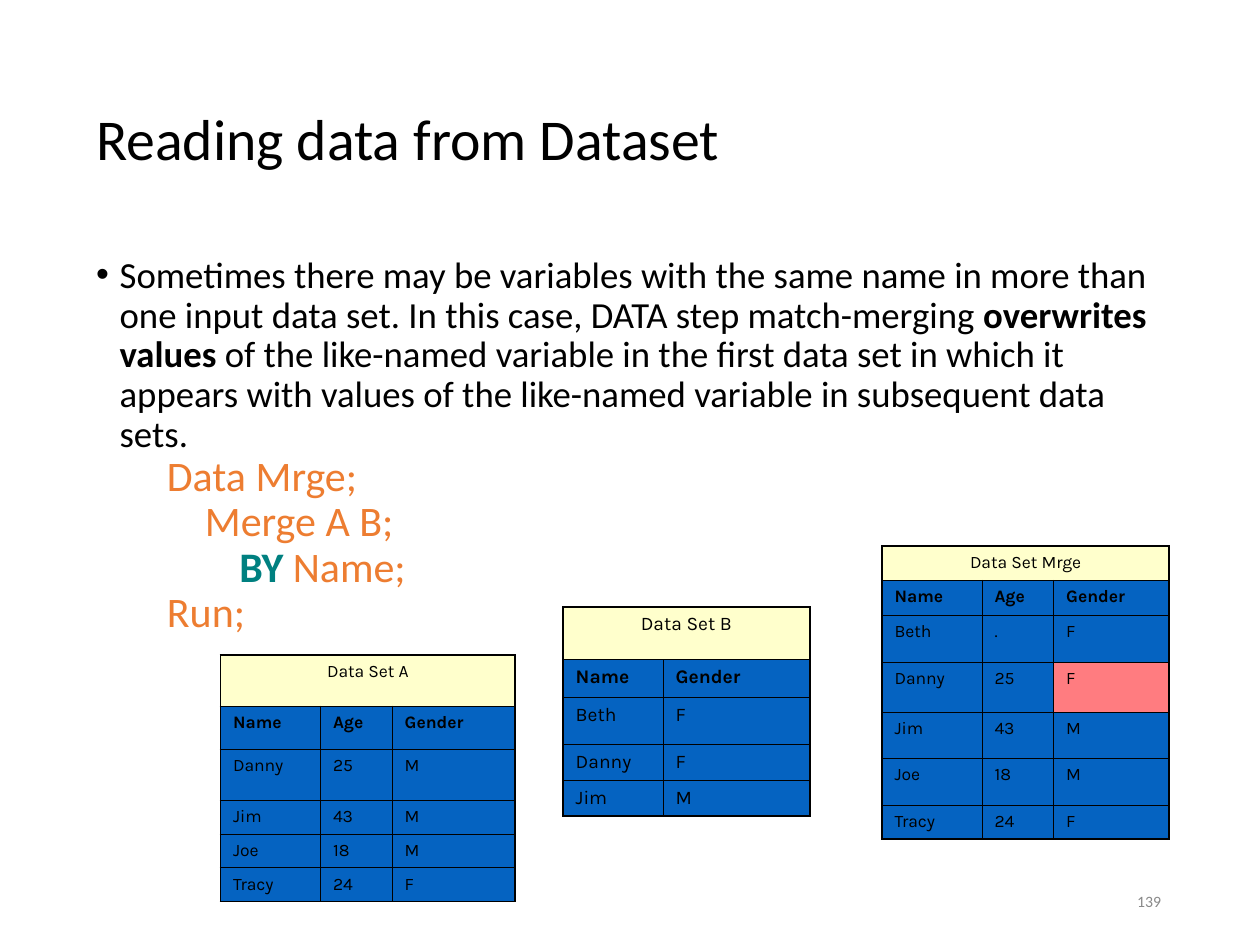
from lxml.etree import SubElement
from pptx import Presentation
from pptx.dml.color import RGBColor
from pptx.enum.text import MSO_ANCHOR as Anchor, MSO_AUTO_SIZE as AutoSize, PP_ALIGN as Align
from pptx.oxml.ns import qn
from pptx.util import Pt

BLACK = RGBColor(0, 0, 0)
ORANGE = RGBColor(0xED, 0x7D, 0x31)
TEAL = RGBColor(0, 0x80, 0x80)
GRAY = RGBColor(0x89, 0x89, 0x89)
CREAM = RGBColor(0xFF, 0xFF, 0xCC)
BLUE = RGBColor(0x05, 0x63, 0xC1)
PINK = RGBColor(0xFF, 0x7C, 0x80)

TITLE = "Reading data from Dataset"
PAGE = "139"
EXPLANATION = [
    ("Sometimes there may be variables with the same name in more than one input data set. "
     "In this case, DATA step match-merging ", BLACK, False),
    ("overwrites values", BLACK, True),
    (" of the like-named variable in the first data set in which it appears with values of "
     "the like-named variable in subsequent data sets.", BLACK, False),
]
CODE = [
    [("\tData Mrge;", ORANGE, False)],
    [("\t    Merge A B;", ORANGE, False)],
    [("\t\t BY ", TEAL, True), ("Name;", ORANGE, False)],
    [("\tRun;", ORANGE, False)],
]
DATA_SETS = [
    dict(title="Data Set A", at=(126, 374.4), size=10, before=2.5,
         columns=(57.1, 41, 70.3), heights=(29, 25, 29, 19.2, 19.2, 19.2),
         rows=[("Name", "Age", "Gender"), ("Danny", "25", "M"), ("Jim", "43", "M"),
               ("Joe", "18", "M"), ("Tracy", "24", "F")], overwritten=None),
    dict(title="Data Set B", at=(321.8, 346.8), size=11, before=2.8,
         columns=(57.1, 83.8), heights=(30, 21.8, 26.8, 20.5, 20.5),
         rows=[("Name", "Gender"), ("Beth", "F"), ("Danny", "F"), ("Jim", "M")],
         overwritten=None),
    dict(title="Data Set Mrge", at=(504, 312), size=10, before=2.5,
         columns=(57.1, 41, 66), heights=(19.6, 20, 26.8, 28.6, 26.5, 26.8, 19.4),
         rows=[("Name", "Age", "Gender"), ("Beth", ".", "F"), ("Danny", "25", "F"),
               ("Jim", "43", "M"), ("Joe", "18", "M"), ("Tracy", "24", "F")],
         overwritten=(3, 2)),
]
THICK, THIN = 1.08, 0.45
TAB_STEP = 54


def style(run, size, color, bold=False, name="Calibri"):
    font = run.font
    font.name, font.size, font.bold = name, Pt(size), bold
    font.color.rgb = color


def add_runs(paragraph, parts, size):
    for text, color, bold in parts:
        run = paragraph.add_run()
        run.text = text
        style(run, size, color, bold)


def set_insets(frame):
    frame.word_wrap = True
    frame.auto_size = AutoSize.NONE
    frame.margin_left = frame.margin_right = Pt(5.4)
    frame.margin_top = frame.margin_bottom = Pt(2.7)


def indent(paragraph, left, hanging):
    properties = paragraph._p.get_or_add_pPr()
    properties.set("marL", str(Pt(left)))
    properties.set("indent", str(-Pt(hanging)))
    return properties


def set_borders(cell, widths):
    properties = cell._tc.get_or_add_tcPr()
    for side, width in zip(("lnL", "lnR", "lnT", "lnB"), widths):
        line = SubElement(properties, qn("a:" + side), w=str(Pt(width)))
        fill = SubElement(line, qn("a:solidFill"))
        SubElement(fill, qn("a:srgbClr"), val=str(BLACK))


def add_data_set(slide, data):
    columns, heights = data["columns"], data["heights"]
    last_row, last_column = len(heights) - 1, len(columns) - 1
    left, top = data["at"]
    table = slide.shapes.add_table(
        len(heights), len(columns), Pt(left), Pt(top), Pt(sum(columns)), Pt(sum(heights))).table
    table.first_row = table.horz_banding = False
    for column, width in zip(table.columns, columns):
        column.width = Pt(width)
    for row, height in zip(table.rows, heights):
        row.height = Pt(height)
    table.cell(0, 0).merge(table.cell(0, last_column))

    heading = (data["title"],) + ("",) * last_column
    for r, values in enumerate([heading] + data["rows"]):
        for c, value in enumerate(values):
            cell = table.cell(r, c)
            set_borders(cell, (THICK if c == 0 else THIN,
                               THICK if c == last_column or r == 0 else THIN,
                               THICK if r == 0 else THIN,
                               THICK if r == last_row else THIN))
            cell.fill.solid()
            cell.fill.fore_color.rgb = (
                CREAM if r == 0 else PINK if (r, c) == data["overwritten"] else BLUE)
            if value:
                paragraph = cell.text_frame.paragraphs[0]
                paragraph.text = value
                paragraph.alignment = Align.CENTER if r == 0 else Align.LEFT
                paragraph.space_before = Pt(data["before"])
                style(paragraph.runs[0], data["size"], BLACK, r == 1, "Karla")


def main():
    deck = Presentation()
    deck.slide_width, deck.slide_height = Pt(720), Pt(540)
    slide = deck.slides.add_slide(deck.slide_layouts[5])

    title = slide.shapes.title
    title.left, title.top, title.width, title.height = Pt(49.5), Pt(28.8), Pt(621), Pt(104.4)
    set_insets(title.text_frame)
    title.text_frame.vertical_anchor = Anchor.MIDDLE
    title.text_frame.text = TITLE
    heading = title.text_frame.paragraphs[0]
    heading.alignment, heading.line_spacing = Align.LEFT, 0.9
    style(heading.runs[0], 33, BLACK)

    body = slide.shapes.add_textbox(Pt(49.5), Pt(144), Pt(621), Pt(342.7)).text_frame
    set_insets(body)
    explanation = body.paragraphs[0]
    explanation.line_spacing = 0.9
    bulleted = indent(explanation, 13.5, 13.5)
    SubElement(bulleted, qn("a:buFont"), typeface="Arial")
    SubElement(bulleted, qn("a:buChar"), char="•")
    add_runs(explanation, EXPLANATION, 21)
    for parts in CODE:
        statement = body.add_paragraph()
        statement.level, statement.line_spacing = 1, 0.9
        statement.space_before = Pt(0)
        properties = indent(statement, 40.5, 13.5)
        SubElement(properties, qn("a:buNone"))
        tabs = SubElement(properties, qn("a:tabLst"))
        for stop in range(8):
            SubElement(tabs, qn("a:tab"), pos=str(Pt(stop * TAB_STEP)), algn="l")
        add_runs(statement, parts, 24)

    number = slide.shapes.add_textbox(Pt(508.5), Pt(500.5), Pt(162), Pt(28.8)).text_frame
    number.word_wrap = True
    number.vertical_anchor = Anchor.MIDDLE
    number.text = PAGE
    number.paragraphs[0].alignment = Align.RIGHT
    style(number.paragraphs[0].runs[0], 9, GRAY)

    for data in DATA_SETS:
        add_data_set(slide, data)
    deck.save("out.pptx")


if __name__ == "__main__":
    main()
